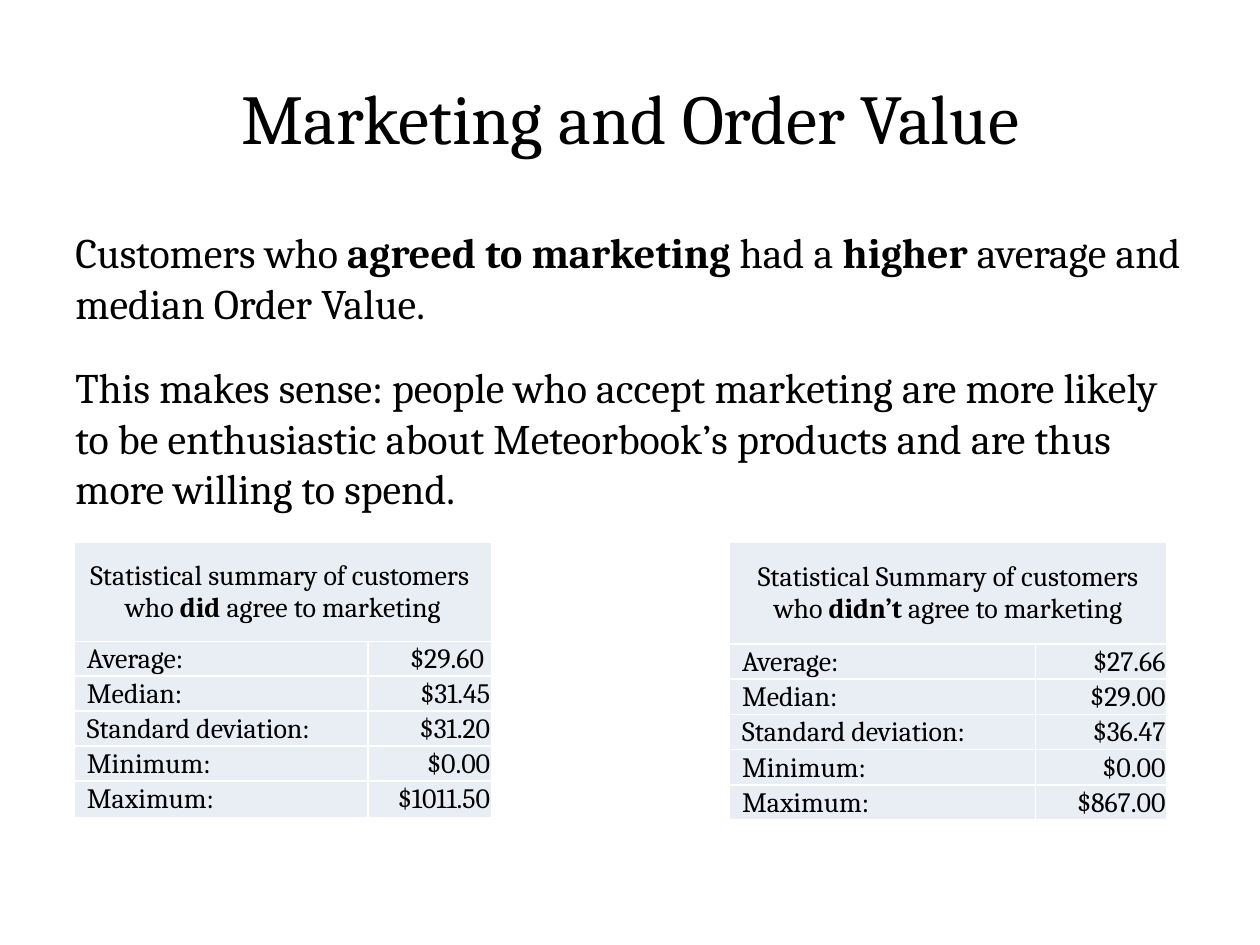
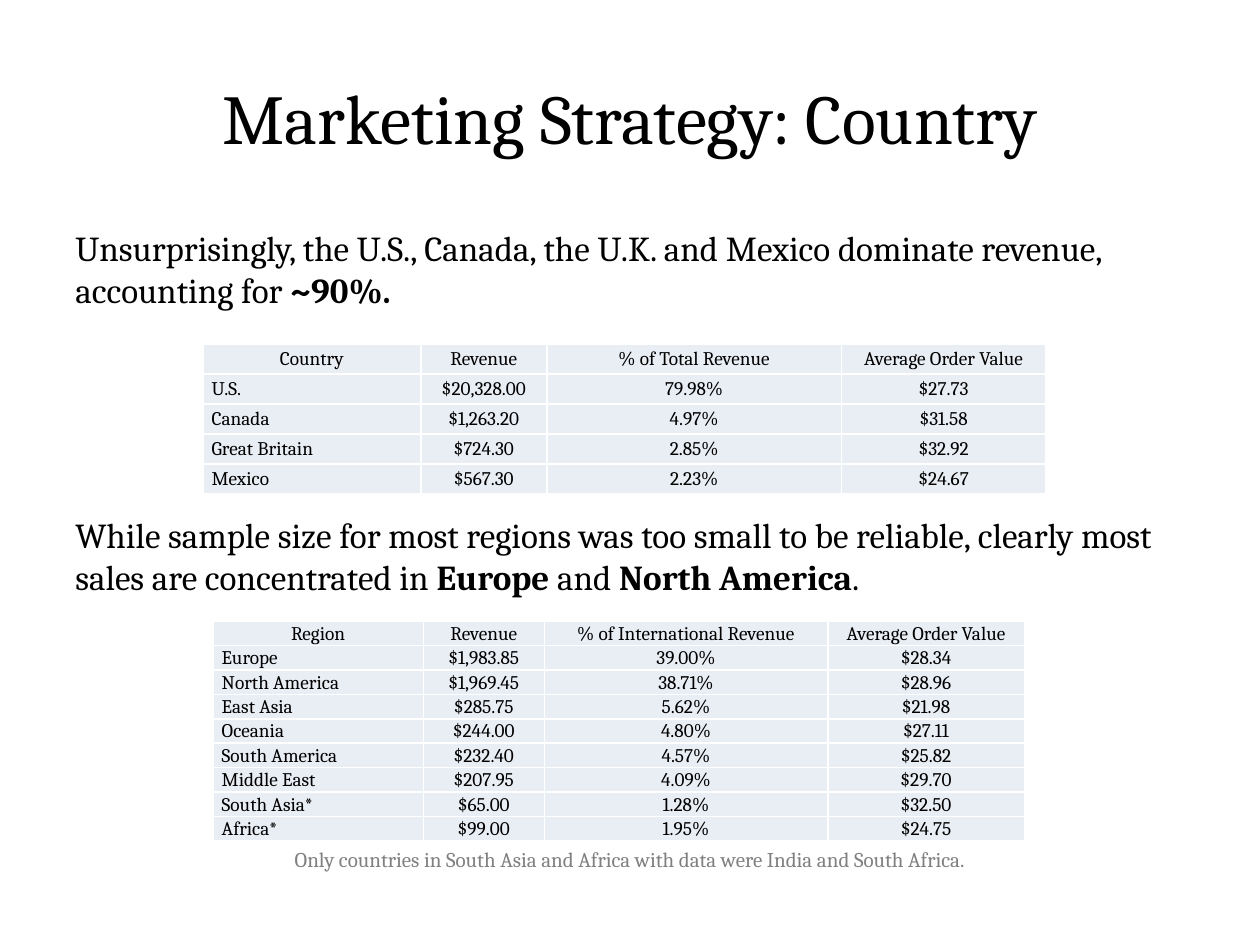
from lxml import etree
from pptx import Presentation, util as u
from pptx.dml.color import RGBColor
from pptx.enum import text as t
from pptx.oxml.ns import qn

BLACK = RGBColor(0, 0, 0)
GRAY = RGBColor(0x80, 0x80, 0x80)
WHITE = RGBColor(0xFF, 0xFF, 0xFF)
PALE = RGBColor(0xE9, 0xED, 0xF4)
LEFT, MID, RIGHT = t.PP_ALIGN.LEFT, t.PP_ALIGN.CENTER, t.PP_ALIGN.RIGHT
COLS, ROWS = 100, 75  # grid cells across and down the slide


class Deck:
    """Holds the style and the current slide; lengths are grid cells."""

    font = "Cambria"

    def __init__(self):
        self.prs = Presentation()
        self.prs.slide_width, self.prs.slide_height = u.Inches(10), u.Inches(7.5)

    def x(self, n):
        return round(self.prs.slide_width * n / COLS)

    def y(self, n):
        return round(self.prs.slide_height * n / ROWS)

    def page(self, title):
        self.slide = self.prs.slides.add_slide(self.prs.slide_layouts[6])
        frame = self.box(5, 3, 90, 12.5)
        frame.vertical_anchor = t.MSO_ANCHOR.MIDDLE
        self.para(frame.paragraphs[0], title, 40, MID)

    def box(self, left, top, wide, high):
        shape = self.slide.shapes.add_textbox(
            self.x(left), self.y(top), self.x(wide), self.y(high))
        shape.text_frame.word_wrap = True
        return shape.text_frame

    def para(self, par, words, size, align=LEFT, color=BLACK, gap=0):
        """Write one paragraph; **marks** enclose bold words."""
        par.alignment, par.space_before = align, u.Pt(gap)
        for i, part in enumerate(words.split("**")):
            if not part:
                continue
            run = par.add_run()
            run.text = part
            look = dict(name=self.font, size=u.Pt(size), bold=i % 2 == 1)
            for key, val in look.items():
                setattr(run.font, key, val)
            run.font.color.rgb = color

    def body(self, high, *paras):
        """Each paragraph is a dict of arguments for para."""
        frame = self.box(5, 17.5, 90, high)
        for i, args in enumerate(paras):
            par = frame.add_paragraph() if i else frame.paragraphs[0]
            self.para(par, **args)

    def cell(self, cell, words, size, align, indent=0.01):
        look = dict(margin_left=u.Inches(indent), margin_right=u.Inches(0.01),
                    margin_top=u.Inches(0.01), margin_bottom=0,
                    vertical_anchor=t.MSO_ANCHOR.MIDDLE)
        for key, val in look.items():
            setattr(cell, key, val)
        cell.fill.solid()
        cell.fill.fore_color.rgb = PALE
        self.edge(cell)
        frame = cell.text_frame
        for i, line in enumerate(words.split("\n")):
            par = frame.add_paragraph() if i else frame.paragraphs[0]
            self.para(par, line, size, align)

    def edge(self, cell):
        """White one-point border on all four sides."""
        props = cell._tc.get_or_add_tcPr()
        for i, side in enumerate(("lnL", "lnR", "lnT", "lnB")):
            line = etree.Element(qn("a:" + side), w=str(u.Pt(1)))
            fill = etree.SubElement(line, qn("a:solidFill"))
            etree.SubElement(fill, qn("a:srgbClr"), val=str(WHITE))
            props.insert(i, line)

    def table(self, left, top, wides, highs, data, size, align, indent):
        """First row is the heading; a one-cell heading spans the table."""
        grid = self.slide.shapes.add_table(
            len(highs), len(wides), self.x(left), self.y(top),
            self.x(sum(wides)), self.y(sum(highs))).table
        for col, wide in zip(grid.columns, wides):
            col.width = self.x(wide)
        for row, high in zip(grid.rows, highs):
            row.height = self.y(high)
        if len(data[0]) == 1:
            grid.cell(0, 0).merge(grid.cell(0, len(wides) - 1))
        for r, row in enumerate(data):
            for c, words in enumerate(row):
                how = (MID,) if r == 0 else (align,) if c else (LEFT, indent)
                self.cell(grid.cell(r, c), words, size, *how)


deck = Deck()

# Slide 1: order value by marketing consent
deck.page("Marketing and Order Value")
deck.body(
    49.5,
    dict(words="Customers who **agreed to marketing **had a **higher** average "
               "and median Order Value.", size=24),
    dict(words="This makes sense: people who accept marketing are more likely "
               "to be enthusiastic about Meteorbook’s products and are thus "
               "more willing to spend.", size=24, gap=19.5))

STATS = ("Average:", "Median:", "Standard deviation:", "Minimum:", "Maximum:")
GROUPS = (
    (57.9, (24.3, 10.4), (8.1,) + (2.8,) * 5,
     "Statistical Summary of customers\nwho **didn’t** agree to marketing",
     ("$27.66", "$29.00", "$36.47", "$0.00", "$867.00")),
    (5.9, (23.3, 9.8), (7.9,) + (2.6,) * 4 + (2.9,),
     "Statistical summary of customers \nwho **did **agree to marketing",
     ("$29.60 ", "$31.45", "$31.20", "$0.00", "$1011.50")),
)
for left, wides, highs, head, vals in GROUPS:
    deck.table(left, 43, wides, highs, [(head,), *zip(STATS, vals)],
               16, RIGHT, 0.1)

# Slide 2: revenue by country and region
deck.page("Marketing Strategy: Country")
deck.body(
    55.4,
    dict(words="Unsurprisingly, the U.S., Canada, the U.K. and Mexico dominate "
               "revenue, accounting for **~90%.**", size=20),
    dict(words="While sample size for most regions was too small to be "
               "reliable, clearly most sales are concentrated in **Europe** "
               "and **North America**.", size=20, gap=116),
    dict(words="Only countries in South Asia and Africa with data were India "
               "and South Africa.", size=12, align=MID, color=GRAY, gap=142))

NATIONS = [
    ("Country", "Revenue", "% of Total Revenue", "Average Order Value"),
    ("U.S.", "$20,328.00", "79.98%", "$27.73"),
    ("Canada", "$1,263.20", "4.97%", "$31.58"),
    ("Great Britain", "$724.30", "2.85%", "$32.92"),
    ("Mexico", "$567.30", "2.23%", "$24.67"),
]
REGIONS = [
    ("Region", "Revenue", "% of International Revenue", "Average Order Value"),
    ("Europe", "$1,983.85", "39.00%", "$28.34"),
    ("North America", "$1,969.45", "38.71%", "$28.96"),
    ("East Asia", "$285.75", "5.62%", "$21.98"),
    ("Oceania", "$244.00", "4.80%", "$27.11"),
    ("South America", "$232.40", "4.57%", "$25.82"),
    ("Middle East", "$207.95", "4.09%", "$29.70"),
    ("South Asia*", "$65.00", "1.28%", "$32.50"),
    ("Africa*", "$99.00", "1.95%", "$24.75"),
]
deck.table(16.1, 27.3, (17.3, 10, 23.4, 16.2), (2.38,) * 5, NATIONS,
           11, MID, 0.07)
deck.table(16.9, 49.3, (16.7, 9.6, 22.5, 15.6), (1.94,) * 9, REGIONS,
           11, MID, 0.07)

deck.prs.save("out.pptx")
